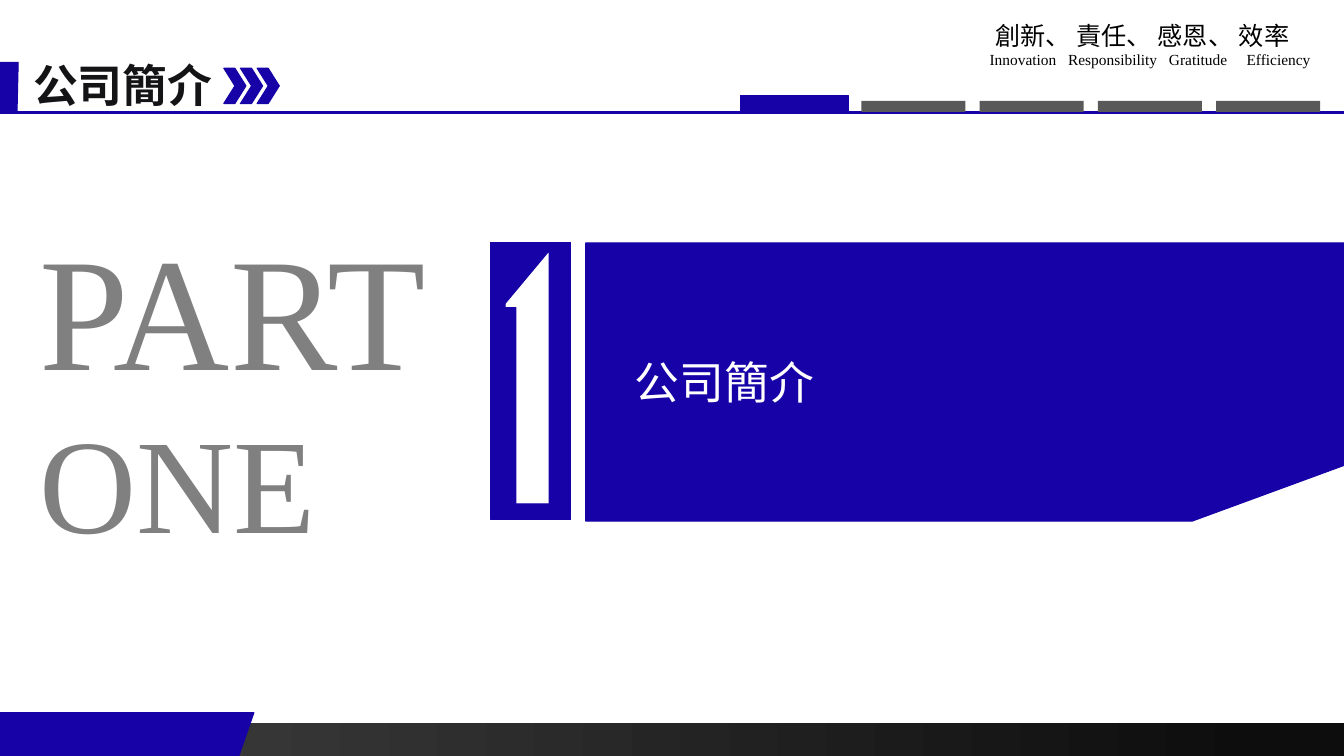
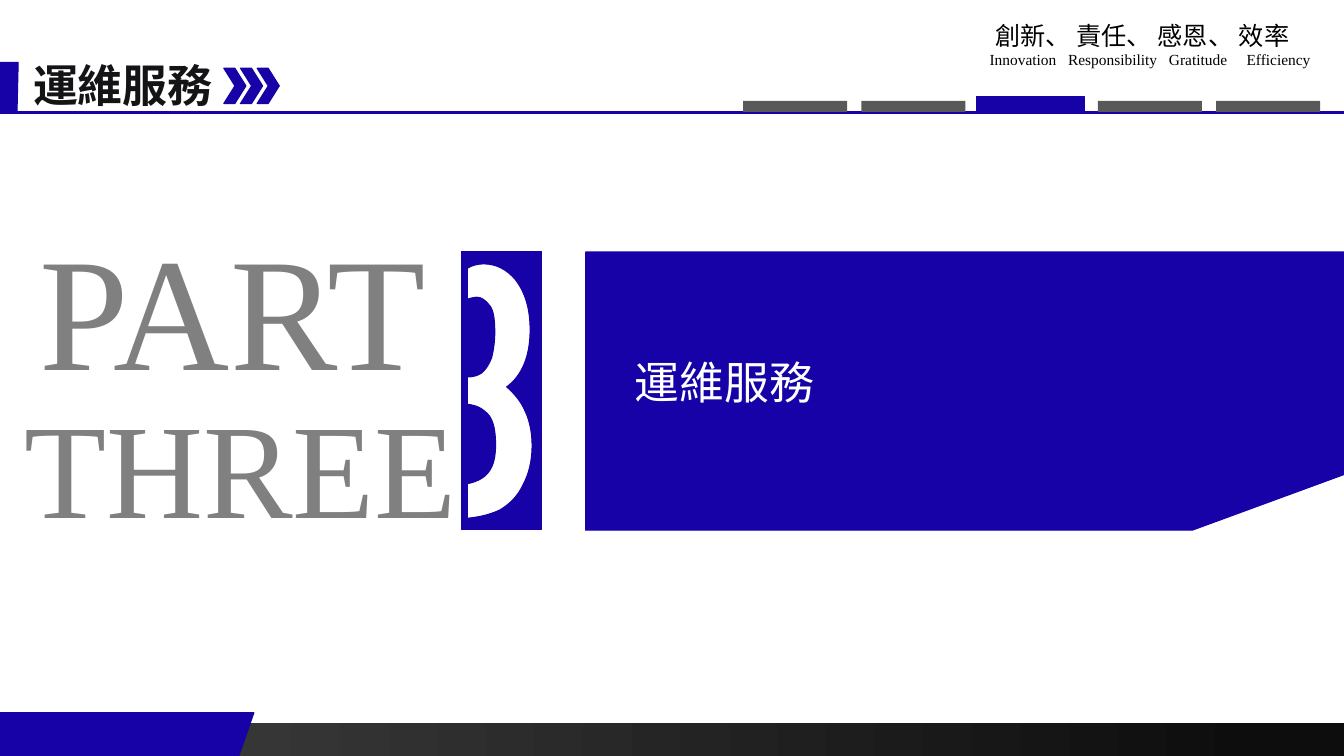
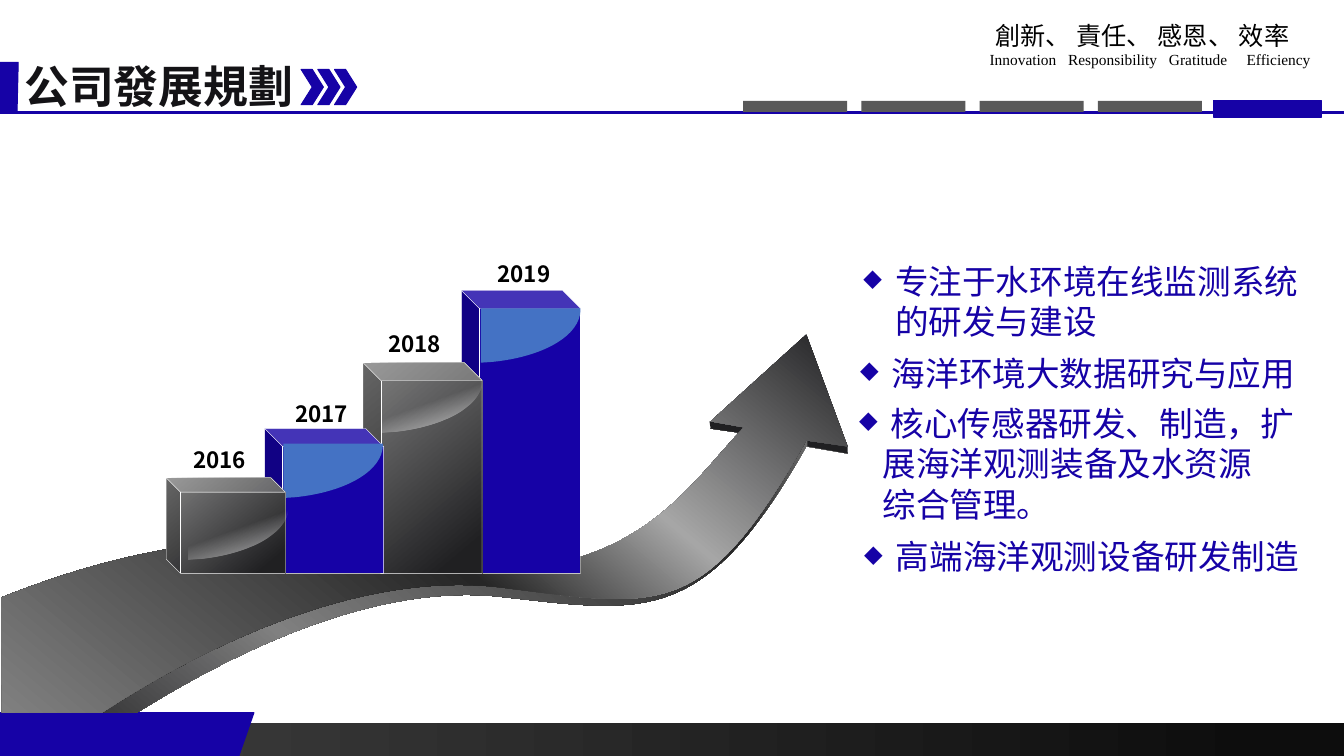
import dataclasses

import lxml.etree
import pptx
import pptx.dml.color
import pptx.enum.shapes
import pptx.enum.text
import pptx.oxml.ns
import pptx.util

Cm = pptx.util.Cm
Pt = pptx.util.Pt
qn = pptx.oxml.ns.qn
RGBColor = pptx.dml.color.RGBColor
SHAPE = pptx.enum.shapes.MSO_SHAPE
ALIGN = pptx.enum.text.PP_ALIGN

NAVY = RGBColor(0x16, 0x02, 0xA6)
SKY = RGBColor(0x44, 0x72, 0xC4)
WHITE = RGBColor(0xFF, 0xFF, 0xFF)
PALE = RGBColor(0xF2, 0xF2, 0xF2)
SILVER = RGBColor(0xA6, 0xA6, 0xA6)
GRAY = RGBColor(0x80, 0x80, 0x80)
SLATE = RGBColor(0x59, 0x59, 0x59)
IRON = RGBColor(0x40, 0x40, 0x40)
COAL = RGBColor(0x26, 0x26, 0x26)
SOOT = RGBColor(0x20, 0x20, 0x22)
INK = RGBColor(0x14, 0x13, 0x16)
NIGHT = RGBColor(0x0D, 0x0D, 0x0D)
BLACK = RGBColor(0x00, 0x00, 0x00)

SANS = "Noto Sans CJK SC"
SERIF = "Times New Roman"
HAIRLINE = 0

SLIDE_W, SLIDE_H = 33.87, 19.05
RULE_Y = 2.83
TAB_LEFT, TAB_TOP, TAB_PITCH, TAB_W, TAB_H = 18.73, 2.54, 2.98, 2.62, 0.28
PLATE_W, PLATE_H = 2.01, 7.0
CUBE_LEFT, CUBE_PITCH, CUBE_W, CUBE_BOTTOM = 4.19, 2.48, 3.0, 14.45
BULLET_MARGIN, BULLET_HANGING = 0.97, 0.8


@dataclasses.dataclass
class Gradient:
    angle: int
    stops: list


@dataclasses.dataclass
class Bar:
    year: str
    top: float
    gloss_at: tuple
    label_at: tuple
    body: object
    gloss: object


FOOTER_FADE = Gradient(0, [(0, IRON), (94, NIGHT)])
CUBE_FADE = Gradient(130, [(0, GRAY), (89, SOOT)])
GLOSS_FADE = Gradient(70, [(45, WHITE, 0), (89, PALE, 67)])
RIBBON_SIDE = Gradient(130, [(0, SILVER), (27, COAL), (71, GRAY), (100, SOOT)])
RIBBON_TOP = Gradient(130, [(0, SOOT), (31, SILVER), (51, COAL), (100, GRAY)])

DIGIT_ONE = [(1.47, 0.22), (0.36, 1.55), (0.36, 1.65), (0.63, 1.65), (0.63, 6.6), (1.47, 6.6)]
DIGIT_THREE = [
    (0.56, 0.3), (0.43, 0.3, 0.28, 0.33, 0.15, 0.41), (0.15, 1.19),
    (0.23, 1.17, 0.3, 1.14, 0.38, 1.14), (0.51, 1.14, 0.61, 1.22, 0.71, 1.35),
    (0.81, 1.47, 0.84, 1.7, 0.84, 2.03), (0.84, 2.26, 0.81, 2.46, 0.76, 2.67),
    (0.69, 2.84, 0.61, 2.97, 0.51, 3.05), (0.41, 3.12, 0.28, 3.15, 0.15, 3.15),
    (0.15, 3.84), (0.38, 3.86, 0.53, 3.94, 0.69, 4.11),
    (0.81, 4.27, 0.86, 4.52, 0.86, 4.85), (0.86, 5.16, 0.81, 5.38, 0.69, 5.54),
    (0.56, 5.71, 0.38, 5.79, 0.15, 5.84), (0.15, 6.71),
    (0.48, 6.68, 0.76, 6.6, 0.97, 6.5), (1.22, 6.35, 1.42, 6.15, 1.55, 5.87),
    (1.7, 5.59, 1.78, 5.26, 1.78, 4.88), (1.78, 4.5, 1.7, 4.19, 1.57, 3.94),
    (1.47, 3.73, 1.32, 3.56, 1.14, 3.4), (1.52, 3.12, 1.73, 2.64, 1.73, 1.96),
    (1.73, 1.42, 1.6, 1.02, 1.37, 0.71), (1.14, 0.43, 0.86, 0.3, 0.56, 0.3),
]
GLOSS = [(0, 0), (2.51, 0), (2.51, 0.03), (2.51, 0.69, 1.57, 1.22, 0.3, 1.35), (0, 1.37)]

RIBBON = [
    ([(20.32, 8.59), (21.36, 11.43), (20.32, 11.25),
      (17.73, 15.82, 16.26, 15.44, 12.62, 15.04), (9.22, 14.66, 5.51, 16.69, 3.53, 17.91),
      (3.45, 17.96), (0.05, 17.96), (0.03, 15.21),
      (5.82, 12.93, 9.07, 13.92, 13.06, 14.53), (16.36, 14.2, 17.45, 12.29, 18.75, 10.92),
      (17.91, 10.8)], RIBBON_SIDE),
    ([(20.35, 11.1), (20.35, 11.25), (21.36, 11.43), (21.36, 11.25)], SOOT),
    ([(17.88, 10.62), (17.91, 10.8), (18.92, 10.95), (18.92, 10.77)], SOOT),
    ([(0.03, 15.06), (5.82, 12.75, 9.07, 13.74, 13.06, 14.35),
      (16.36, 14.02, 17.45, 12.12, 18.75, 10.77), (17.91, 10.62), (20.32, 8.43),
      (21.36, 11.25), (20.32, 11.1), (17.73, 15.65, 16.66, 15.32, 12.67, 14.81),
      (8.69, 14.3, 4.42, 16.76, 2.57, 17.96), (0.05, 17.96)], RIBBON_TOP),
]

BARS = [
    Bar("2016", 12.04, (4.75, 12.73), (4.62, 11.13), CUBE_FADE, GLOSS_FADE),
    Bar("2017", 10.8, (7.14, 11.18), (7.19, 9.96), NAVY, SKY),
    Bar("2018", 9.14, (9.65, 9.53), (9.53, 8.2), CUBE_FADE, GLOSS_FADE),
    Bar("2019", 7.32, (12.12, 7.77), (12.29, 6.43), NAVY, SKY),
]

PLANS = [
    (21.34, 6.45, 2.31, ["专注于水环境在线监测系统的研发与建设"]),
    (21.26, 8.76, 1.27, ["海洋环境大数据研究与应用"]),
    (21.23, 10.03, 3.33, ["核心传感器研发、制造，扩", "展海洋观测装备及水资源", "综合管理。"]),
    (21.36, 13.39, 1.27, ["高端海洋观测设备研发制造"]),
]


def paint(shape, fill, line=None, width=HAIRLINE):
    shape.shadow.inherit = False
    if isinstance(fill, Gradient):
        shape.fill.gradient()
        shape.fill.gradient_angle = (360 - fill.angle) % 360
        stop_list = shape.element.spPr.find(".//" + qn("a:gsLst"))
        for stop in list(stop_list):
            stop_list.remove(stop)
        for position, color, *opacity in fill.stops:
            stop = lxml.etree.SubElement(stop_list, qn("a:gs"), pos=str(position * 1000))
            tint = lxml.etree.SubElement(stop, qn("a:srgbClr"), val=str(color))
            for percent in opacity:
                lxml.etree.SubElement(tint, qn("a:alpha"), val=str(percent * 1000))
    else:
        shape.fill.solid()
        shape.fill.fore_color.rgb = fill
    if line is None:
        shape.line.fill.background()
    else:
        shape.line.color.rgb = line
        shape.line.width = Pt(width)


def add_block(shapes, kind, left, top, width, height, fill, line=None, line_width=HAIRLINE):
    block = shapes.add_shape(kind, Cm(left), Cm(top), Cm(width), Cm(height))
    paint(block, fill, line, line_width)
    return block


def bend(segment, points):
    for child in list(segment):
        segment.remove(child)
    segment.tag = qn("a:cubicBezTo")
    for x, y in points:
        lxml.etree.SubElement(segment, qn("a:pt"), x=str(x), y=str(y))


def add_outline(shapes, contours, fill, line=None, left=0, top=0):
    def place(x, y):
        return Cm(left + x), Cm(top + y)

    builder = shapes.build_freeform(*place(*contours[0][0]))
    for number, contour in enumerate(contours):
        if number:
            builder.move_to(*place(*contour[0]))
        builder.add_line_segments([place(*step[-2:]) for step in contour[1:]], close=True)
    outline = builder.convert_to_shape()
    segments = outline.element.spPr.findall(".//" + qn("a:lnTo"))
    steps = [step for contour in contours for step in contour[1:]]
    for segment, step in zip(segments, steps):
        if len(step) == 6:
            placed = [place(*step[i:i + 2]) for i in (0, 2, 4)]
            bend(segment, [(x - outline.left, y - outline.top) for x, y in placed])
    paint(outline, fill, line)


def write(paragraph, text, size, color, font=SANS, bold=False, tracking=0):
    run = paragraph.add_run()
    run.text = text
    run.font.size = Pt(size)
    run.font.bold = bold
    run.font.name = font
    run.font.color.rgb = color
    properties = run._r.get_or_add_rPr()
    properties.find(qn("a:latin")).addnext(lxml.etree.Element(qn("a:ea"), typeface=font))
    if tracking:
        properties.set("spc", str(int(tracking * 100)))


def add_box(shapes, left, top, width, height, wrap=True):
    frame = shapes.add_textbox(Cm(left), Cm(top), Cm(width), Cm(height)).text_frame
    frame.word_wrap = wrap
    return frame


def indent(paragraph, margin, hanging=0):
    properties = paragraph._p.get_or_add_pPr()
    properties.set("marL", str(Cm(margin)))
    properties.set("indent", str(-Cm(hanging)))
    return properties


def add_values(shapes):
    frame = add_box(shapes, 24.69, 0.38, 9.1, 1.55)
    chinese = frame.paragraphs[0]
    indent(chinese, 0.14)
    write(chinese, "創新、 責任、 感恩、 效率", 18, BLACK)
    english = frame.add_paragraph()
    write(english, "Innovation", 11, BLACK, SERIF)
    for word, gap in (("Responsibility", 5.5), ("Gratitude", 5.5), ("Efficiency", 11)):
        write(english, " ", 11, BLACK, SERIF, tracking=gap)
        write(english, word, 11, BLACK, SERIF)


def add_frame(shapes):
    rule = shapes.add_connector(pptx.enum.shapes.MSO_CONNECTOR.STRAIGHT,
                                Cm(0), Cm(RULE_Y), Cm(SLIDE_W), Cm(RULE_Y))
    rule.line.color.rgb = NAVY
    rule.line.width = Pt(HAIRLINE)
    lxml.etree.SubElement(rule.element.spPr, qn("a:effectLst"))
    for number in range(5):
        add_block(shapes, SHAPE.RECTANGLE, TAB_LEFT + number * TAB_PITCH, TAB_TOP,
                  TAB_W, TAB_H, SLATE)
    add_outline(shapes, [[(0, 1.57), (0.46, 1.57), (0.43, 2.84), (0, 2.84)]], NAVY, NAVY)
    add_block(shapes, SHAPE.RECTANGLE, 0, 18.21, SLIDE_W, 0.84, FOOTER_FADE)
    add_outline(shapes, [[(0, 17.96), (6.4, 17.96), (6.02, SLIDE_H), (0, SLIDE_H)]], NAVY, NAVY)
    add_values(shapes)


def move_to_layout(slide, layout):
    for shape in list(slide.shapes):
        if not shape.is_placeholder:
            layout.shapes.element.append(shape.element)


def add_title(slide, text, left, top, width, chevron_left):
    title = slide.shapes.title
    title.left, title.top, title.width, title.height = Cm(left), Cm(top), Cm(width), Cm(1.63)
    frame = title.text_frame
    frame.word_wrap = False
    frame.auto_size = pptx.enum.text.MSO_AUTO_SIZE.NONE
    frame.vertical_anchor = pptx.enum.text.MSO_ANCHOR.TOP
    frame.paragraphs[0].alignment = ALIGN.LEFT
    write(frame.paragraphs[0], text, 32, INK, bold=True)
    chevrons = slide.shapes.add_group_shape().shapes
    for number in range(3):
        add_block(chevrons, SHAPE.CHEVRON, chevron_left + number * 0.42, top + 0.4,
                  0.56, 0.89, NAVY, NAVY)


def add_active_tab(slide, number, top):
    add_block(slide.shapes, SHAPE.RECTANGLE, TAB_LEFT - 0.07 + number * TAB_PITCH, top,
              2.72, 0.41, NAVY, NAVY)


def add_part(slide, name, number_word, word_box, digit, plate_at, panel_top):
    shapes = slide.shapes
    add_title(slide, name, 0.58, 1.32, 5.08, 5.64)
    add_block(shapes, SHAPE.FLOWCHART_CARD, 14.76, panel_top, 19.11, 7.01,
              NAVY, NAVY).rotation = 180
    plate = [(0, 0), (PLATE_W, 0), (PLATE_W, PLATE_H), (0, PLATE_H)]
    add_outline(shapes, [digit, plate], NAVY, NAVY, *plate_at)
    label = add_box(shapes, 15.62, 8.81, 5.28, 1.63).paragraphs[0]
    label.alignment = ALIGN.CENTER
    write(label, name, 32, WHITE)
    for text, size, box in (("PART", 115, (0.74, 5.16, 10.36, 5.18)),
                            (number_word, 96, word_box)):
        write(add_box(shapes, *box, wrap=False).paragraphs[0], text, size, GRAY, SERIF)


def add_bar(slide, number, bar):
    group = slide.shapes.add_group_shape().shapes
    cube = add_block(group, SHAPE.CUBE, CUBE_LEFT + number * CUBE_PITCH, bar.top,
                     CUBE_W, CUBE_BOTTOM - bar.top, bar.body, WHITE, 0.25)
    cube.adjustments[0] = 0.15
    cube.element.spPr.get_or_add_xfrm().set("flipH", "1")
    add_outline(group, [GLOSS], bar.gloss, None, *bar.gloss_at)


def add_plan(slide, left, top, height, lines):
    frame = add_box(slide.shapes, left, top, 11.99, height)
    for number, line in enumerate(lines):
        if number:
            paragraph = frame.add_paragraph()
            indent(paragraph, 0.76)
        else:
            paragraph = frame.paragraphs[0]
            properties = indent(paragraph, BULLET_MARGIN, BULLET_HANGING)
            lxml.etree.SubElement(properties, qn("a:buSzPct"), val="72000")
            lxml.etree.SubElement(properties, qn("a:buChar"), char="◆")
        write(paragraph, line, 24, NAVY)


def add_roadmap(slide):
    add_title(slide, "公司發展規劃", 0.36, 1.35, 7.34, 7.59)
    ribbon = slide.shapes.add_group_shape().shapes
    for contour, fill in RIBBON:
        add_outline(ribbon, [contour], fill)
    for number, bar in reversed(list(enumerate(BARS))):
        add_bar(slide, number, bar)
    for bar in BARS:
        label = add_box(slide.shapes, *bar.label_at, 2.13, 0.94).paragraphs[0]
        write(label, bar.year, 16, BLACK, bold=True)
    for plan in PLANS:
        add_plan(slide, *plan)


def main():
    deck = pptx.Presentation()
    deck.slide_width, deck.slide_height = Cm(SLIDE_W), Cm(SLIDE_H)
    layout = deck.slide_layouts[5]
    for placeholder in list(layout.placeholders)[1:]:
        layout.shapes.element.remove(placeholder.element)
    company, service, roadmap = [deck.slides.add_slide(layout) for _ in range(3)]
    add_frame(company.shapes)
    move_to_layout(company, layout)

    add_part(company, "公司簡介", "ONE", (0.74, 9.93, 7.54, 4.37), DIGIT_ONE, (12.37, 6.1), 6.12)
    add_active_tab(company, 0, 2.41)
    add_part(service, "運維服務", "THREE", (0.36, 9.55, 11.53, 4.37), DIGIT_THREE,
             (11.63, 6.35), 6.35)
    add_active_tab(service, 2, 2.44)
    add_roadmap(roadmap)
    add_active_tab(roadmap, 4, 2.54)
    deck.save("out.pptx")


if __name__ == "__main__":
    main()
